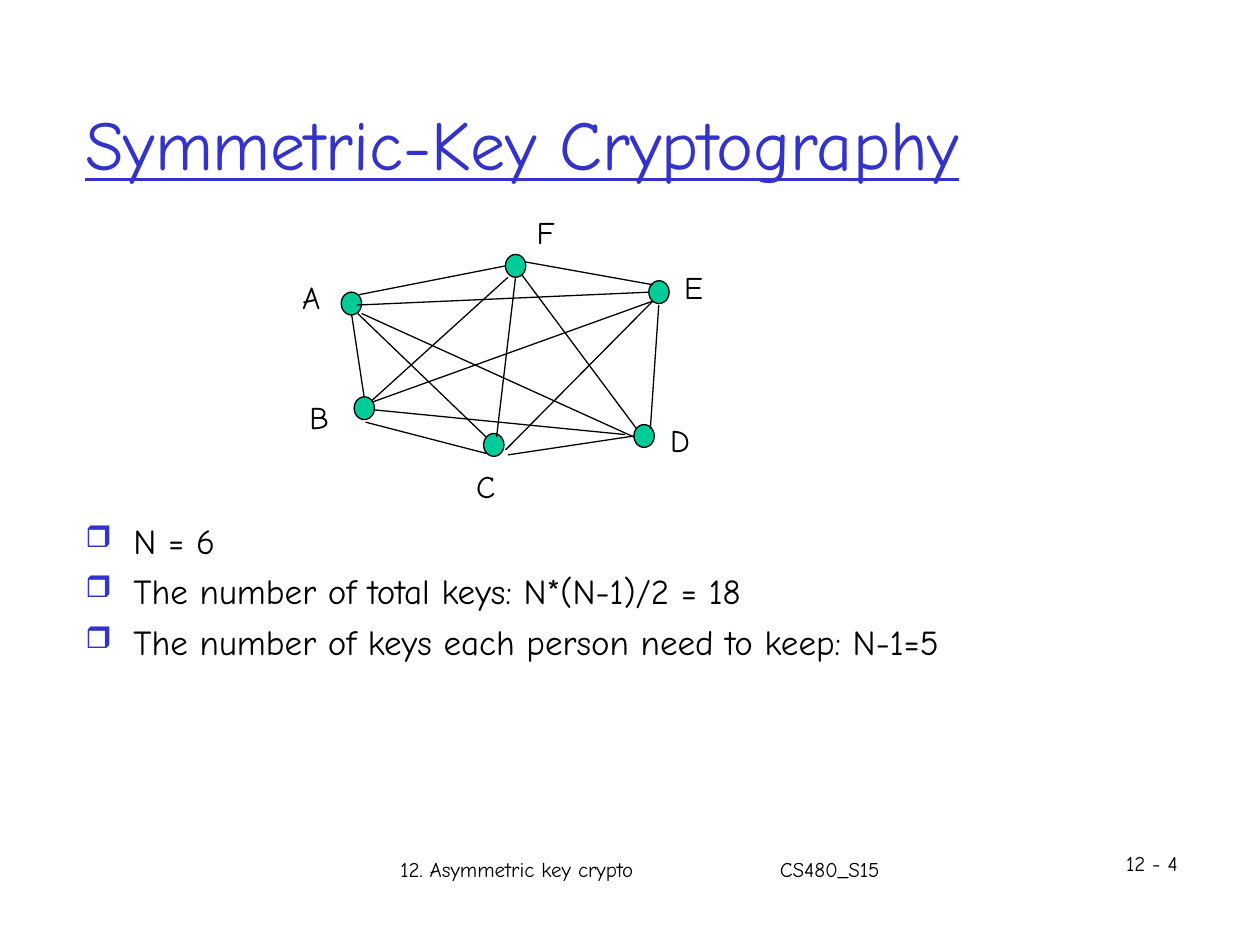
from dataclasses import dataclass

from lxml import etree
from pptx import Presentation
from pptx.dml.color import RGBColor
from pptx.enum.shapes import MSO_CONNECTOR, MSO_SHAPE
from pptx.enum.text import MSO_ANCHOR
from pptx.oxml.ns import qn
from pptx.slide import Slide
from pptx.text.text import TextFrame, _Paragraph
from pptx.util import Cm, Pt

STRAIGHT = MSO_CONNECTOR.STRAIGHT
OVAL = MSO_SHAPE.OVAL
TOP = MSO_ANCHOR.TOP
MIDDLE = MSO_ANCHOR.MIDDLE

FONT = "Comic Neue"
COLORS = {"accent": "3333CC", "node": "00CC99", "ink": "000000"}
NODE_SIZE = (0.41, 0.46)
LABEL_SIZE = (0.99, 1.02)
LINE_WIDTH = 0.75


@dataclass
class Person:
    name: str
    left: float
    top: float
    label_left: float
    label_top: float


@dataclass
class SharedKey:
    x1: float
    y1: float
    x2: float
    y2: float


@dataclass
class Caption:
    text: str
    left: float
    top: float
    width: float
    height: float
    size: float
    color: str = "ink"
    underline: bool = False
    centred: bool = False


PEOPLE = [
    Person("A", 6.88, 5.89, 5.84, 5.49),
    Person("B", 7.14, 8.0, 5.99, 7.9),
    Person("C", 9.75, 8.74, 9.35, 9.3),
    Person("D", 12.78, 8.56, 13.26, 8.36),
    Person("E", 13.08, 5.66, 13.54, 5.28),
    Person("F", 10.19, 5.13, 10.57, 4.17),
]

SHARED_KEYS = [
    SharedKey(7.24, 5.94, 10.19, 5.36),
    SharedKey(7.19, 6.15, 13.08, 5.89),
    SharedKey(7.09, 6.35, 7.34, 8.0),
    SharedKey(7.21, 6.32, 9.8, 8.81),
    SharedKey(7.29, 6.32, 12.78, 8.81),
    SharedKey(10.39, 5.61, 10.01, 8.81),
    SharedKey(10.24, 5.59, 7.49, 8.08),
    SharedKey(10.52, 5.54, 12.83, 8.64),
    SharedKey(10.19, 9.07, 13.16, 6.07),
    SharedKey(10.59, 5.28, 13.16, 5.74),
    SharedKey(13.28, 6.15, 13.11, 8.64),
    SharedKey(7.37, 8.51, 9.8, 9.14),
    SharedKey(7.52, 8.26, 12.6, 8.76),
    SharedKey(10.24, 9.17, 12.78, 8.79),
    SharedKey(7.52, 8.1, 13.16, 6.07),
]

CAPTIONS = [
    Caption("12. Asymmetric key crypto", 7.82, 17.15, 6.5, 0.76, 12),
    Caption("CS480_S15", 15.47, 17.15, 3.68, 0.76, 12),
    Caption("12 - 4", 22.45, 17.02, 2.11, 0.76, 12),
    Caption("Symmetric-Key Cryptography", 1.47, 1.3, 21.59, 3.15, 40,
            "accent", underline=True, centred=True),
]

KEY_COUNTS = [
    "N = 6",
    "The number of total keys: N*(N-1)/2 = 18",
    "The number of keys each person need to keep: N-1=5",
]


def rgb(name: str) -> RGBColor:
    return RGBColor.from_string(COLORS[name])


def add_text(paragraph: _Paragraph, text: str, size: float, color: str,
             underline: bool = False) -> None:
    run = paragraph.add_run()
    run.text = text
    run.font.name = FONT
    run.font.size = Pt(size)
    run.font.color.rgb = rgb(color)
    if underline:
        run.font.underline = True


def add_frame(slide: Slide, left: float, top: float, width: float,
              height: float) -> TextFrame:
    box = slide.shapes.add_textbox(Cm(left), Cm(top), Cm(width), Cm(height))
    box.text_frame.word_wrap = True
    return box.text_frame


def draw_caption(slide: Slide, caption: Caption) -> None:
    frame = add_frame(slide, caption.left, caption.top, caption.width, caption.height)
    frame.vertical_anchor = MIDDLE if caption.centred else TOP
    add_text(frame.paragraphs[0], caption.text, caption.size, caption.color,
             caption.underline)


def add_bullet(paragraph: _Paragraph) -> None:
    properties = paragraph._p.get_or_add_pPr()
    properties.set("marL", str(Cm(0.97)))
    properties.set("indent", str(-Cm(0.97)))
    bullet_color = etree.SubElement(properties, qn("a:buClr"))
    etree.SubElement(bullet_color, qn("a:srgbClr"), val=COLORS["accent"])
    etree.SubElement(properties, qn("a:buSzPct"), val="85000")
    etree.SubElement(properties, qn("a:buChar"), char="❒")


def draw_key_counts(slide: Slide) -> None:
    frame = add_frame(slide, 1.47, 10.34, 21.67, 5.18)
    for index, statement in enumerate(KEY_COUNTS):
        paragraph = frame.add_paragraph() if index else frame.paragraphs[0]
        add_bullet(paragraph)
        if index:
            paragraph.space_before = Pt(5)
        add_text(paragraph, statement, 20, "ink")


def draw_person(slide: Slide, person: Person) -> None:
    width, height = NODE_SIZE
    node = slide.shapes.add_shape(OVAL, Cm(person.left), Cm(person.top),
                                  Cm(width), Cm(height))
    node.shadow.inherit = False
    node.fill.solid()
    node.fill.fore_color.rgb = rgb("node")
    node.line.color.rgb = rgb("ink")
    node.line.width = Pt(LINE_WIDTH)
    draw_caption(slide, Caption(person.name, person.label_left, person.label_top,
                                *LABEL_SIZE, 18))


def draw_shared_key(slide: Slide, key: SharedKey) -> None:
    link = slide.shapes.add_connector(STRAIGHT, Cm(key.x1), Cm(key.y1),
                                      Cm(key.x2), Cm(key.y2))
    link.line.color.rgb = rgb("ink")
    link.line.width = Pt(LINE_WIDTH)
    etree.SubElement(link._element.spPr, qn("a:effectLst"))


def main() -> None:
    presentation = Presentation()
    presentation.slide_width = Cm(25.4)
    presentation.slide_height = Cm(19.05)
    slide = presentation.slides.add_slide(presentation.slide_layouts[6])
    for caption in CAPTIONS:
        draw_caption(slide, caption)
    draw_key_counts(slide)
    for person in PEOPLE:
        draw_person(slide, person)
    for key in SHARED_KEYS:
        draw_shared_key(slide, key)
    presentation.save("out.pptx")


if __name__ == "__main__":
    main()
